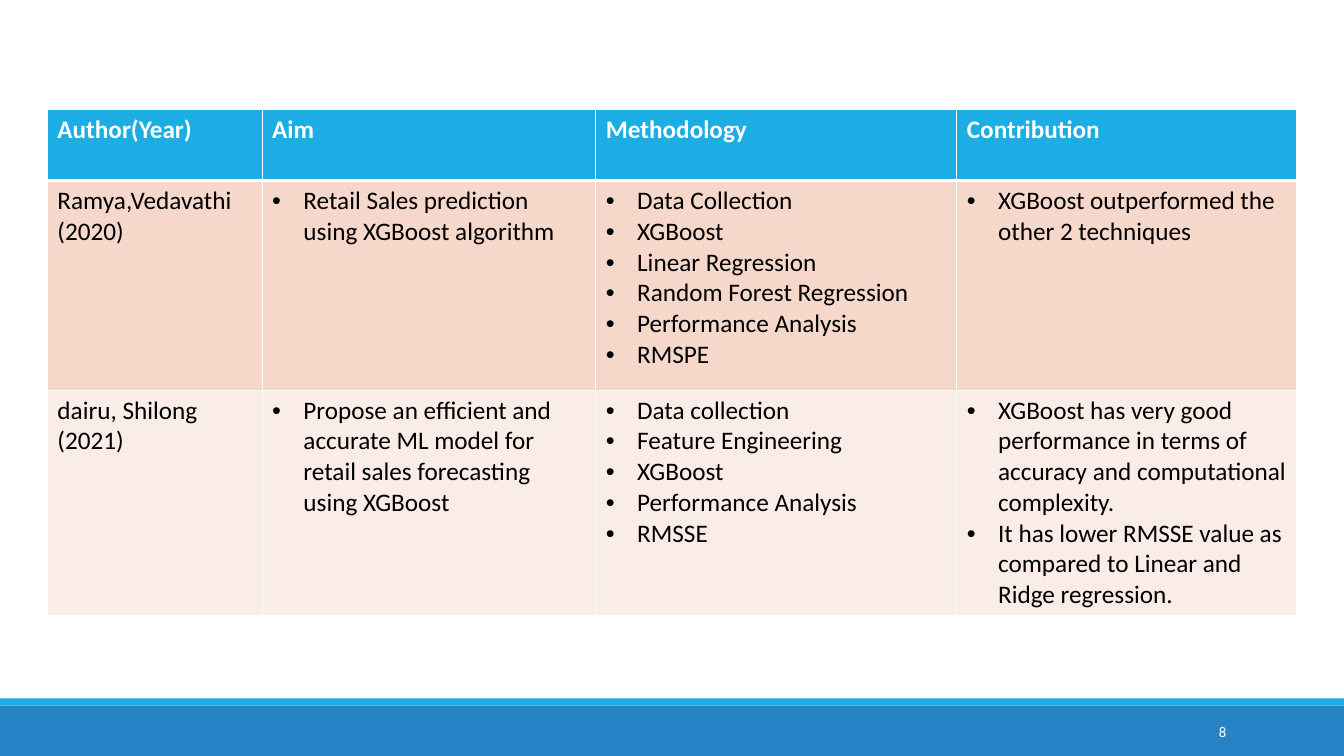
from lxml.etree import SubElement
from pptx import Presentation
from pptx.dml.color import RGBColor
from pptx.enum.shapes import MSO_SHAPE as Shape
from pptx.enum.text import MSO_ANCHOR as Anchor, PP_ALIGN as Align
from pptx.oxml.ns import qn
from pptx.util import Inches, Pt

# Content: a string is a plain cell, a list is a bulleted cell
HEADINGS = ["Author(Year)", "Aim", "Methodology", "Contribution"]
STUDIES = [
    ["Ramya,Vedavathi (2020)",
     ["Retail Sales prediction using XGBoost algorithm"],
     ["Data Collection", "XGBoost", "Linear Regression",
      "Random Forest Regression", "Performance Analysis", "RMSPE"],
     ["XGBoost outperformed the other 2 techniques"]],
    ["dairu, Shilong (2021)",
     ["Propose an efficient and accurate ML model for retail sales "
      "forecasting using XGBoost"],
     ["Data collection", "Feature Engineering", "XGBoost",
      "Performance Analysis", "RMSSE"],
     ["XGBoost has very good performance in terms of accuracy and "
      "computational complexity.",
      "It has lower RMSSE value as compared to Linear and Ridge regression."]],
]
PAGE_NUMBER = "8"

# Layout and colours
COLUMN_WIDTHS = [2.13, 3.31, 3.58, 3.37]
ROW_HEIGHTS = [0.7, 2.08, 2.23]
ROW_FILLS = ["1CADE4", "F5D8CA", "FAECE6"]
FOOTER_BANDS = [(7, 0.5, "2683C6"), (6.93, 0.07, "1CADE4")]
BULLET_INDENT = Inches(0.31)


def color(hex_value):
    return RGBColor.from_string(hex_value)


def style_text(para, size, hex_value, bold=False):
    for span in para.runs:
        span.font.name = "Calibri"
        span.font.size = Pt(size)
        span.font.bold = bold
        span.font.color.rgb = color(hex_value)


def add_bullet(para):
    properties = para._p.get_or_add_pPr()
    properties.set("marL", str(BULLET_INDENT))
    properties.set("indent", str(-BULLET_INDENT))
    SubElement(properties, qn("a:buFont"), typeface="Arial")
    SubElement(properties, qn("a:buChar"), char="•")


def add_borders(cell, top, bottom):
    properties = cell._tc.get_or_add_tcPr()
    for side, width in (("L", 1), ("R", 1), ("T", top), ("B", bottom)):
        line = SubElement(properties, qn(f"a:ln{side}"), w=str(Pt(width)))
        fill = SubElement(line, qn("a:solidFill"))
        SubElement(fill, qn("a:srgbClr"), val="FFFFFF")


def fill_cell(cell, content, row):
    is_list = isinstance(content, list)
    cell.text_frame.text = "\n".join(content) if is_list else content
    for para in cell.text_frame.paragraphs:
        style_text(para, 18, "000000" if row else "FFFFFF", bold=row == 0)
        if is_list:
            add_bullet(para)
    # A thick rule separates the heading row from the studies
    add_borders(cell, top=3 if row == 1 else 1, bottom=1 if row else 3)
    cell.fill.solid()
    cell.fill.fore_color.rgb = color(ROW_FILLS[row])


def main():
    deck = Presentation()
    deck.slide_width, deck.slide_height = Inches(13.33), Inches(7.5)
    page = deck.slides.add_slide(deck.slide_layouts[6])

    # Footer bands
    for top, height, hex_value in FOOTER_BANDS:
        band = page.shapes.add_shape(
            Shape.RECTANGLE, 0, Inches(top), deck.slide_width, Inches(height))
        band.shadow.inherit = False
        band.fill.solid()
        band.fill.fore_color.rgb = color(hex_value)
        band.line.fill.background()

    # Literature table
    rows = [HEADINGS] + STUDIES
    table = page.shapes.add_table(
        len(rows), len(HEADINGS), Inches(0.47), Inches(1.09),
        Inches(sum(COLUMN_WIDTHS)), Inches(sum(ROW_HEIGHTS))).table
    for column, width in zip(table.columns, COLUMN_WIDTHS):
        column.width = Inches(width)
    for row, contents in enumerate(rows):
        table.rows[row].height = Inches(ROW_HEIGHTS[row])
        for column, content in enumerate(contents):
            fill_cell(table.cell(row, column), content, row)

    # Page number
    box = page.shapes.add_textbox(
        Inches(10.83), Inches(7.06), Inches(1.43), Inches(0.4))
    box.text_frame.word_wrap = True
    box.text_frame.vertical_anchor = Anchor.MIDDLE
    box.text_frame.text = PAGE_NUMBER
    para = box.text_frame.paragraphs[0]
    para.alignment = Align.RIGHT
    style_text(para, 10.5, "FFFFFF")

    deck.save("out.pptx")


if __name__ == "__main__":
    main()
